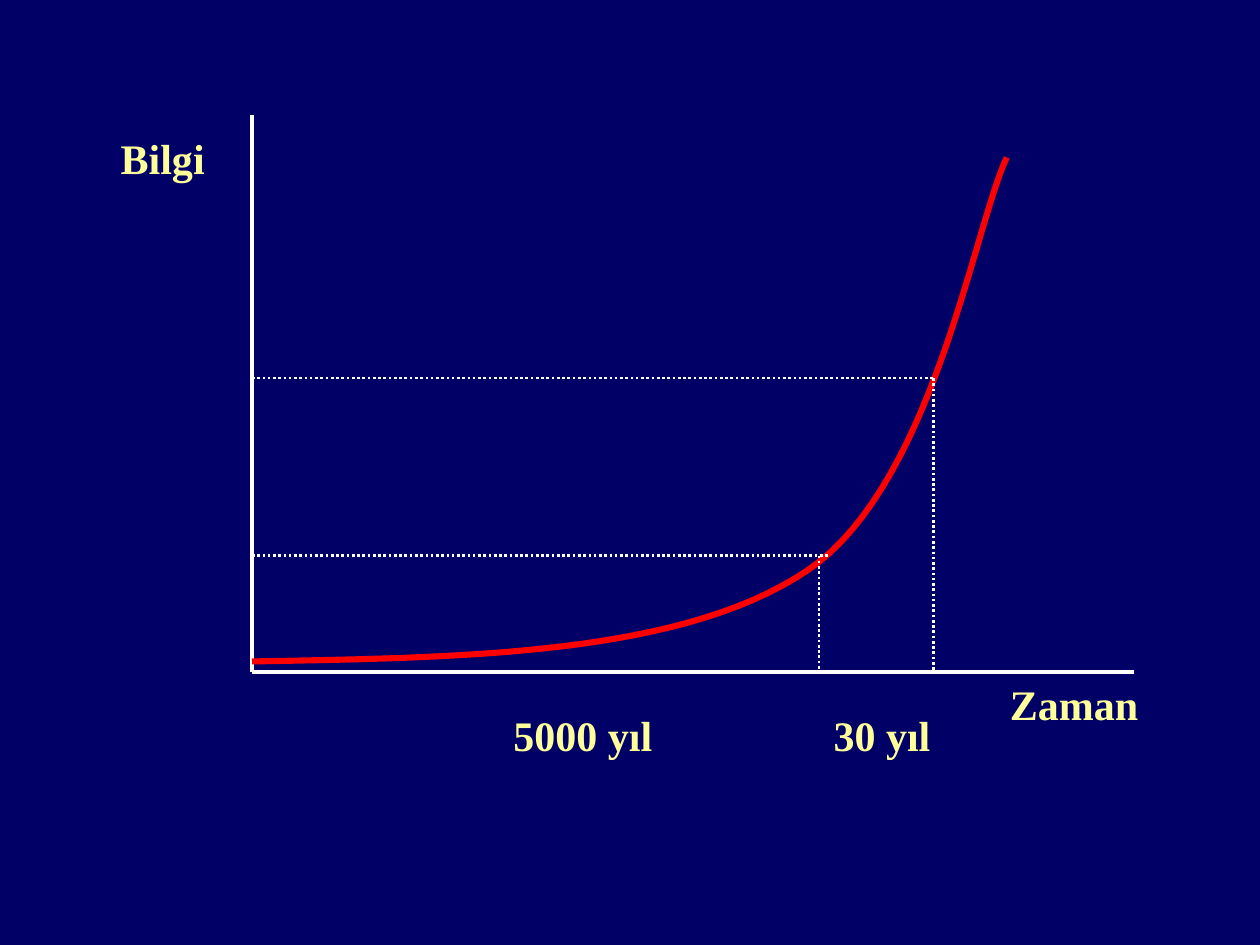
from lxml import etree
from pptx import Presentation
from pptx import util as u
from pptx.dml.color import RGBColor
from pptx.enum import dml, shapes, text
from pptx.oxml.ns import qn

BACKGROUND, WHITE, RED, YELLOW = "000066", "FFFFFF", "FF0000", "FFFF99"


def color(hex_string):
    return RGBColor.from_string(hex_string)


def bezier_point(controls, t):
    """Point at t on the cubic curve with four control points."""
    weights = ((1 - t) ** 3, 3 * t * (1 - t) ** 2, 3 * t * t * (1 - t), t ** 3)
    return tuple(sum(w * point[axis] for w, point in zip(weights, controls))
                 for axis in (0, 1))


class Diagram:
    font_name = "Times New Roman"
    font_size = 24

    def __init__(self, slide):
        self.slide = slide
        fill = slide.background.fill
        fill.solid()
        fill.fore_color.rgb = color(BACKGROUND)

    def label(self, wording, left, top, width, align=text.PP_ALIGN.CENTER):
        box = self.slide.shapes.add_textbox(
            u.Pt(left), u.Pt(top), u.Pt(width), u.Pt(36))
        frame = box.text_frame
        frame.word_wrap = True
        frame.auto_size = text.MSO_AUTO_SIZE.SHAPE_TO_FIT_TEXT
        frame.text = wording
        paragraph = frame.paragraphs[0]
        paragraph.alignment = align
        paragraph.space_before = u.Pt(15)
        font = paragraph.runs[0].font
        font.name, font.size, font.bold = self.font_name, u.Pt(self.font_size), True
        font.color.rgb = color(YELLOW)

    def line(self, start, end, width, dash=None):
        connector = self.slide.shapes.add_connector(
            shapes.MSO_CONNECTOR.STRAIGHT, *(u.Pt(value) for value in start + end))
        connector.line.color.rgb = color(WHITE)
        connector.line.width = u.Pt(width)
        if dash:
            connector.line.dash_style = dash
        etree.SubElement(connector._element.spPr, qn("a:effectLst"))

    def curve(self, segments, steps=30):
        points = [segments[0][0]]
        for controls in segments:
            points += [bezier_point(controls, i / steps) for i in range(1, steps + 1)]
        points = [(u.Pt(x), u.Pt(y)) for x, y in points]
        builder = self.slide.shapes.build_freeform(*points[0])
        builder.add_line_segments(points[1:], close=False)
        shape = builder.convert_to_shape()
        shape.shadow.inherit = False
        shape.fill.background()
        shape.line.color.rgb = color(RED)
        shape.line.width = u.Pt(3.5)


def main():
    presentation = Presentation()
    presentation.slide_width, presentation.slide_height = u.Pt(720), u.Pt(540)
    diagram = Diagram(presentation.slides.add_slide(presentation.slide_layouts[6]))
    origin_x, origin_y = 144, 384

    # Axes
    diagram.label("Bilgi", 54, 72, 78)
    diagram.line((origin_x, origin_y), (648, origin_y), 2.25)
    diagram.line((origin_x, 66), (origin_x, origin_y), 2.25)

    # Growth of knowledge
    bend = (460.8, 326.4)
    diagram.curve([
        [(origin_x, 378), (266.4, 375.8), (388.8, 374.4), bend],
        [bend, (532.8, 278.6), (556.6, 129.6), (575.3, 90)],
    ])

    # Periods on the time axis
    diagram.label("5000 yıl", 204, 402, 258)
    diagram.label("30 yıl", 450, 402, 108)

    # Guides: level, right end of the level line, place of the drop line
    for level, level_end, drop_x in ((317.5, 474, 468), (216, 533.5, 533.5)):
        dotted = dml.MSO_LINE.ROUND_DOT
        diagram.line((origin_x, level), (level_end, level), 1.5, dotted)
        diagram.line((drop_x, level), (drop_x, origin_y), 1.5, dotted)

    diagram.label("Zaman", 570, 384, 102, text.PP_ALIGN.LEFT)
    presentation.save("out.pptx")


if __name__ == "__main__":
    main()
